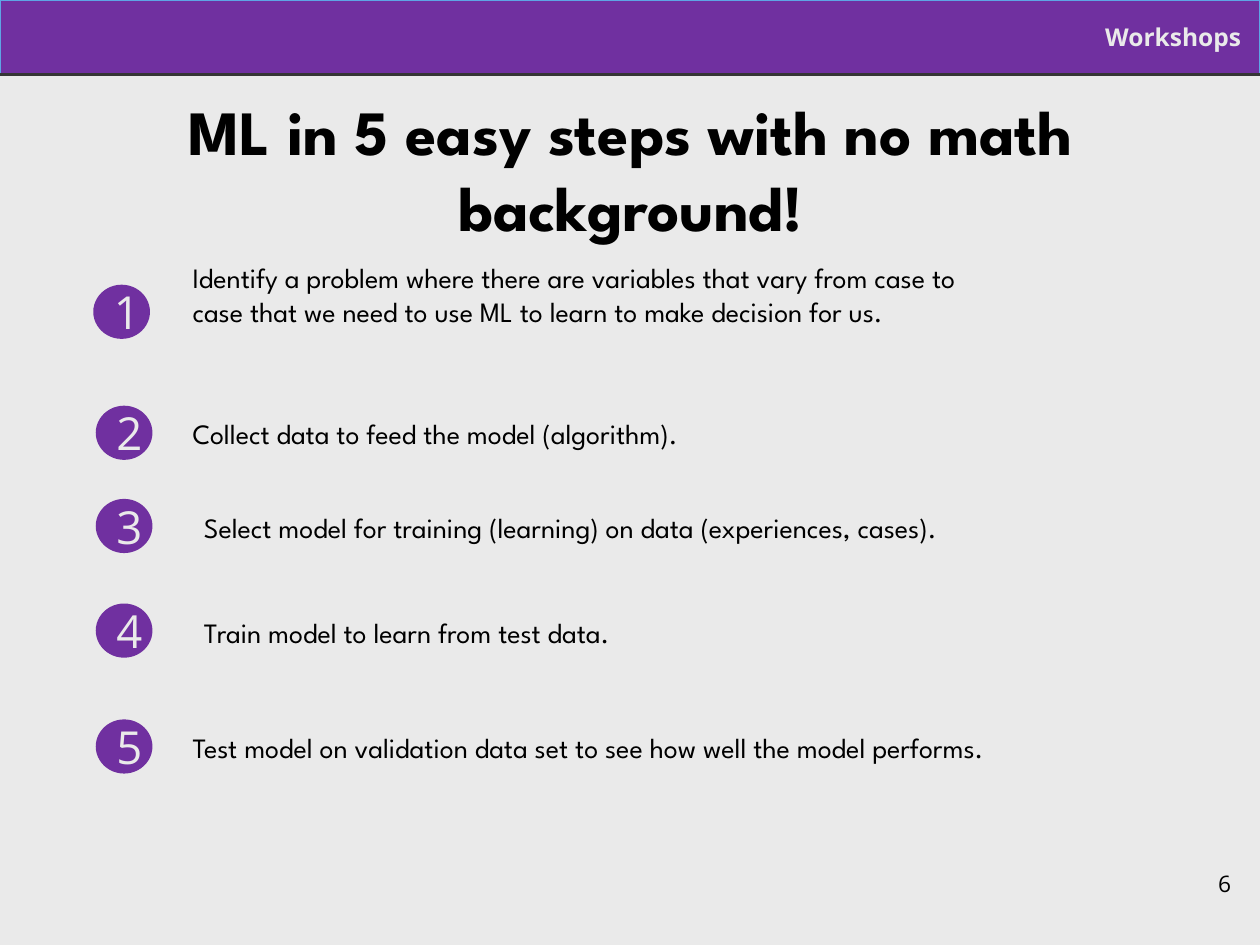
from pptx import Presentation
from pptx.util import Inches, Pt
from pptx.dml.color import RGBColor as Color
from pptx.enum.shapes import MSO_SHAPE as Shape, MSO_CONNECTOR as Connector
from pptx.enum.text import MSO_ANCHOR as Anchor, MSO_AUTO_SIZE as Fit, PP_ALIGN as Align
from pptx.oxml.ns import qn
from lxml.etree import SubElement

COLORS = {
    "paper": "EAEAEA",
    "purple": "7030A0",
    "blue": "5EA5E5",
    "rule": "353535",
    "ink": "000000",
}
HEADING, PLAIN = "League Spartan", "Open Sans"

deck = Presentation()
deck.slide_width, deck.slide_height = Inches(10), Inches(7.5)
COLUMN, ROW = deck.slide_width / 100, deck.slide_height / 75
page = deck.slides.add_slide(deck.slide_layouts[5])
page.background.fill.solid()
page.background.fill.fore_color.rgb = Color.from_string(COLORS["paper"])


def area(left, top, width, height):
    return [round(n * unit) for n, unit in zip((left, top, width, height), (COLUMN, ROW) * 2)]


def write(box, text, size, font, color, align=Align.LEFT, anchor=Anchor.TOP, bold=False, inset=1):
    frame = box.text_frame
    frame.text = text
    frame.word_wrap = True
    frame.auto_size = Fit.NONE
    frame.vertical_anchor = anchor
    frame.margin_left = frame.margin_right = round(COLUMN)
    frame.margin_top = frame.margin_bottom = round(inset * ROW)
    para = frame.paragraphs[0]
    para.alignment = align
    span = para.runs[0]
    span.font.size, span.font.name, span.font.bold = Pt(size), font, bold
    span.font.color.rgb = Color.from_string(COLORS[color])


banner = page.shapes.add_shape(Shape.RECTANGLE, *area(0, 0, 100, 5.9))
banner.shadow.inherit = False
banner.fill.solid()
banner.fill.fore_color.rgb = Color.from_string(COLORS["purple"])
banner.line.color.rgb = Color.from_string(COLORS["blue"])
banner.line.width = Pt(0.75)

rule = page.shapes.add_connector(Connector.STRAIGHT, *area(0, 5.9, 100, 5.9))
rule.line.color.rgb = Color.from_string(COLORS["rule"])
rule.line.width = Pt(1.5)
SubElement(rule._element.spPr, qn("a:effectLst"))

section = page.shapes.add_textbox(*area(62.4, 1, 37.1, 3.8))
write(section, "Workshops", 14, PLAIN, "paper", Align.RIGHT, Anchor.MIDDLE, True)

number = page.shapes.add_textbox(*area(92.7, 68, 6, 5.7))
write(number, "6", 13, PLAIN, "ink", Align.RIGHT)

title = page.shapes.title
title.left, title.top, title.width, title.height = area(9.9, 7.1, 80.3, 12.5)
write(title, "ML in 5 easy steps with no math background!", 36, HEADING, "ink",
      Align.CENTER, Anchor.MIDDLE, True)

steps = [
    (7.4, 22.6, 14.3, 20.2, 66.3, 9.1, "Identify a problem where there are variables that vary from case to "
     "case that we need to use ML to learn to make decision for us."),
    (7.6, 32.2, 14.3, 32.6, 67, 3.7, "Collect data to feed the model (algorithm)."),
    (7.6, 39.6, 15.2, 40, 66.1, 6.4, "Select model for training (learning) on data (experiences, cases)."),
    (7.6, 47.9, 15.2, 48.4, 72.8, 3.7, "Train model to learn from test data."),
    (7.6, 57.1, 14.3, 57.5, 67, 6.4, "Test model on validation data set to see how well the model performs."),
]

for index, (badge_left, badge_top, left, top, width, height, text) in enumerate(steps, 1):
    badge = page.shapes.add_shape(Shape.OVAL, *area(badge_left, badge_top, 4.5, 4.3))
    badge.shadow.inherit = False
    badge.fill.solid()
    badge.fill.fore_color.rgb = Color.from_string(COLORS["purple"])
    badge.line.fill.background()
    write(badge, str(index), 26, PLAIN, "paper", Align.CENTER, Anchor.MIDDLE)

    step = page.shapes.add_textbox(*area(left, top, width, height))
    write(step, text, 16, HEADING, "ink", inset=0.5)

deck.save("out.pptx")
